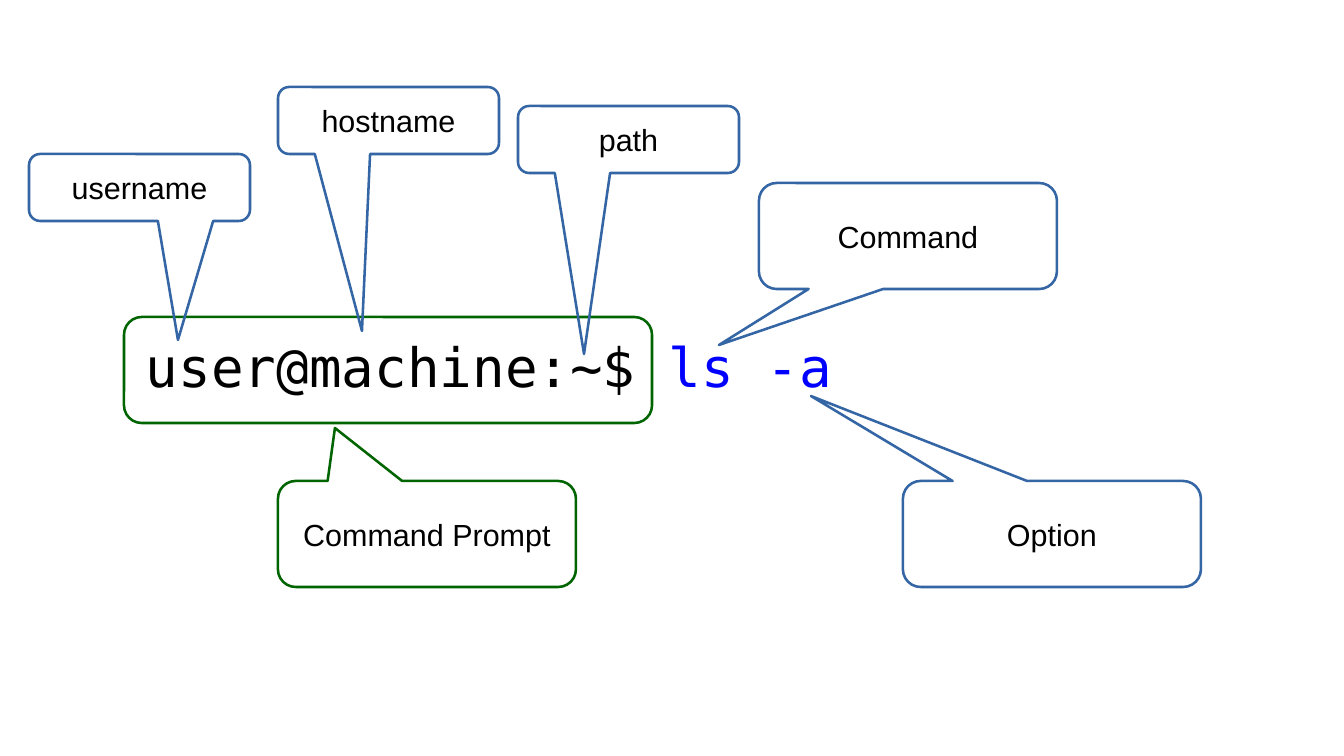
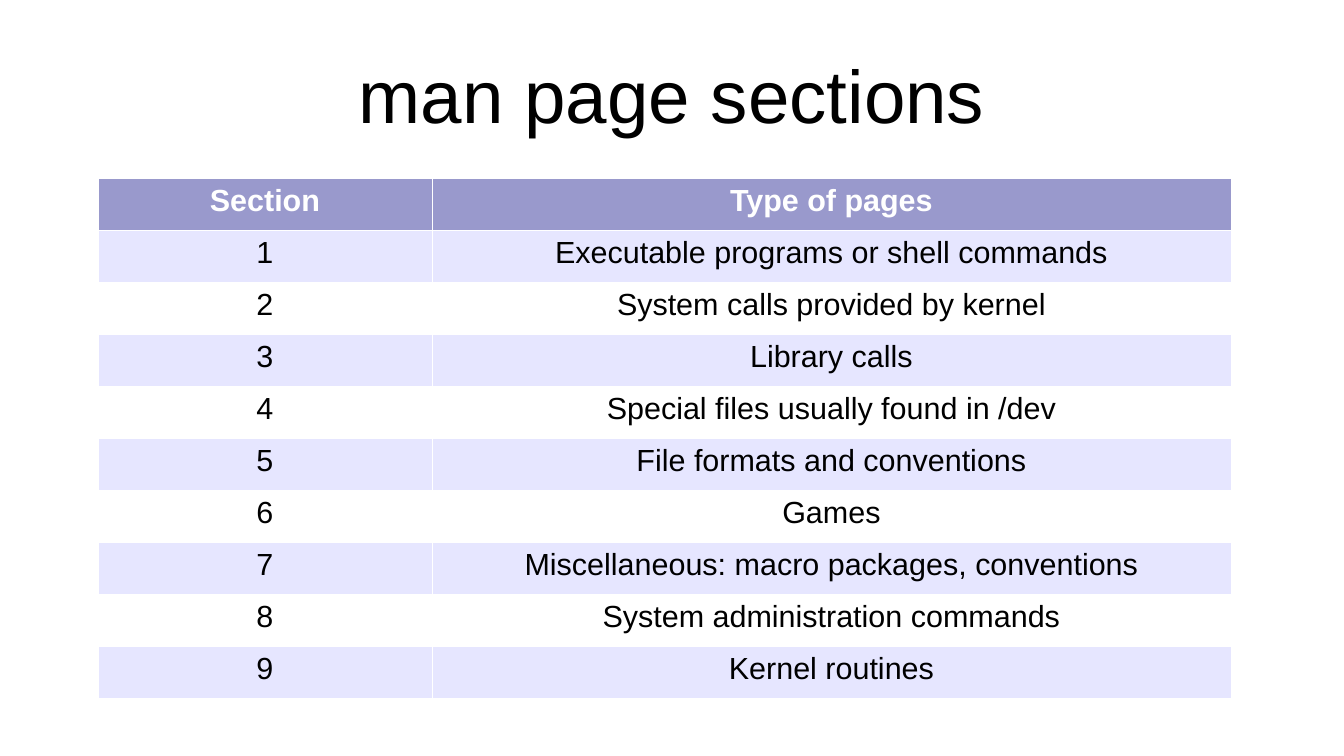
"""Build two slides: the parts of a shell command line and the man page sections."""
from lxml import etree
from pptx import Presentation
from pptx import util as u
from pptx.dml import color
from pptx.enum import shapes, text
from pptx.oxml import ns

SCALE = 914400 / 122
SIZE = (1344, 756)
SANS, MONO = "Arial", "DejaVu Sans Mono"
BLACK, WHITE, BLUE, STEEL, GREEN = "000000", "FFFFFF", "0000FF", "3465A4", "006400"
HEAD_FILL, BAND_FILL = "9999CC", "E6E6FF"
BODY = {"name": SANS, "size": u.Pt(18), "bold": False}
HEAD = {**BODY, "bold": True}
TITLE = {**BODY, "size": u.Pt(44)}
CODE = {"name": MONO, "size": u.Pt(32)}
CODE_INSET = (12, 6)
CALLOUT_INSET = (13, 7)
ROUNDING = 0.167

COMMAND_LINE = [("user@machine:~$ ", BLACK), ("ls -a", BLUE)]
COMMAND_BOX = (134, 327, 1047, 76)
PROMPT_FRAME = (124, 317, 528, 106)
SMALL, LARGE = (221, 67), (298, 106)
CALLOUTS = [
    ("username", (29, 154), SMALL, (178, 340), STEEL),
    ("hostname", (278, 87), SMALL, (362, 331), STEEL),
    ("path", (518, 106), SMALL, (584, 354), STEEL),
    ("Command Prompt", (278, 481), LARGE, (335, 428), GREEN),
    ("Command", (759, 183), LARGE, (719, 345), STEEL),
    ("Option", (903, 481), LARGE, (811, 396), STEEL),
]

TITLE_TEXT = "man page sections"
TITLE_BOX = (67, 30, 1210, 127)
HEADINGS = ("Section", "Type of pages")
PAGE_TYPES = [
    "Executable programs or shell commands",
    "System calls provided by kernel",
    "Library calls",
    "Special files usually found in /dev",
    "File formats and conventions",
    "Games",
    "Miscellaneous: macro packages, conventions",
    "System administration commands",
    "Kernel routines",
]
TABLE_AT = (98, 178)
COLUMNS = (334, 799)
ROW_HEIGHT = 52


def px(*lengths):
    return [u.Emu(round(n * SCALE)) for n in lengths]


def rgb(value):
    return color.RGBColor.from_string(value)


def set_all(target, values):
    for name, value in values.items():
        setattr(target, name, value)


def write(tf, runs, fmt, align=text.PP_ALIGN.CENTER):
    p = tf.paragraphs[0]
    p.alignment = align
    for words, hue in runs:
        r = p.add_run()
        r.text = words
        set_all(r.font, fmt)
        r.font.color.rgb = rgb(hue)


def set_frame(tf, inset, wrap, anchor):
    x, y = px(*inset)
    set_all(tf, {"margin_left": x, "margin_right": x, "margin_top": y,
                 "margin_bottom": y, "word_wrap": wrap, "vertical_anchor": anchor})


def add_text(s, box, runs, fmt, inset, align, anchor):
    tf = s.shapes.add_textbox(*px(*box)).text_frame
    set_frame(tf, inset, True, anchor)
    write(tf, runs, fmt, align)


def add_outline(s, kind, box, hue):
    sp = s.shapes.add_shape(kind, *px(*box))
    sp.shadow.inherit = False
    sp.fill.background()
    sp.line.color.rgb = rgb(hue)
    sp.line.width = u.Pt(1.5)
    return sp


def add_callout(s, label, at, size, tip, hue):
    sp = add_outline(s, shapes.MSO_SHAPE.ROUNDED_RECTANGULAR_CALLOUT, at + size, hue)
    for i in range(2):
        sp.adjustments[i] = (tip[i] - at[i]) / size[i] - 0.5
    sp.adjustments[2] = ROUNDING
    set_frame(sp.text_frame, CALLOUT_INSET, False, text.MSO_ANCHOR.MIDDLE)
    write(sp.text_frame, [(label, BLACK)], BODY)


def set_borders(cell, hue, width):
    tc_pr = cell._tc.get_or_add_tcPr()
    for i, side in enumerate(("lnL", "lnR", "lnT", "lnB")):
        ln = etree.Element(ns.qn(f"a:{side}"), w=str(width))
        fill = etree.SubElement(ln, ns.qn("a:solidFill"))
        etree.SubElement(fill, ns.qn("a:srgbClr"), val=hue)
        tc_pr.insert(i, ln)


def build_command(s):
    add_text(s, COMMAND_BOX, COMMAND_LINE, CODE, CODE_INSET,
             text.PP_ALIGN.LEFT, text.MSO_ANCHOR.TOP)
    frame = add_outline(s, shapes.MSO_SHAPE.ROUNDED_RECTANGLE, PROMPT_FRAME, GREEN)
    frame.adjustments[0] = ROUNDING
    for callout in CALLOUTS:
        add_callout(s, *callout)


def build_sections(s):
    add_text(s, TITLE_BOX, [(TITLE_TEXT, BLACK)], TITLE, (0, 0),
             text.PP_ALIGN.CENTER, text.MSO_ANCHOR.MIDDLE)
    rows = [HEADINGS] + [(str(n), kind) for n, kind in enumerate(PAGE_TYPES, 1)]
    box = TABLE_AT + (sum(COLUMNS), ROW_HEIGHT * len(rows))
    table = s.shapes.add_table(len(rows), len(COLUMNS), *px(*box)).table
    for column, width in zip(table.columns, px(*COLUMNS)):
        column.width = width
    for i, row in enumerate(rows):
        table.rows[i].height = px(ROW_HEIGHT)[0]
        fill = BAND_FILL if i % 2 else WHITE
        hue, fmt = BLACK, BODY
        if i == 0:
            fill, hue, fmt = HEAD_FILL, WHITE, HEAD
        for j, words in enumerate(row):
            cell = table.cell(i, j)
            cell.fill.solid()
            cell.fill.fore_color.rgb = rgb(fill)
            set_borders(cell, WHITE, u.Pt(0.06))
            write(cell.text_frame, [(words, hue)], fmt)


def main():
    prs = Presentation()
    prs.slide_width, prs.slide_height = px(*SIZE)
    for build in (build_command, build_sections):
        build(prs.slides.add_slide(prs.slide_layouts[6]))
    prs.save("out.pptx")


if __name__ == "__main__":
    main()
